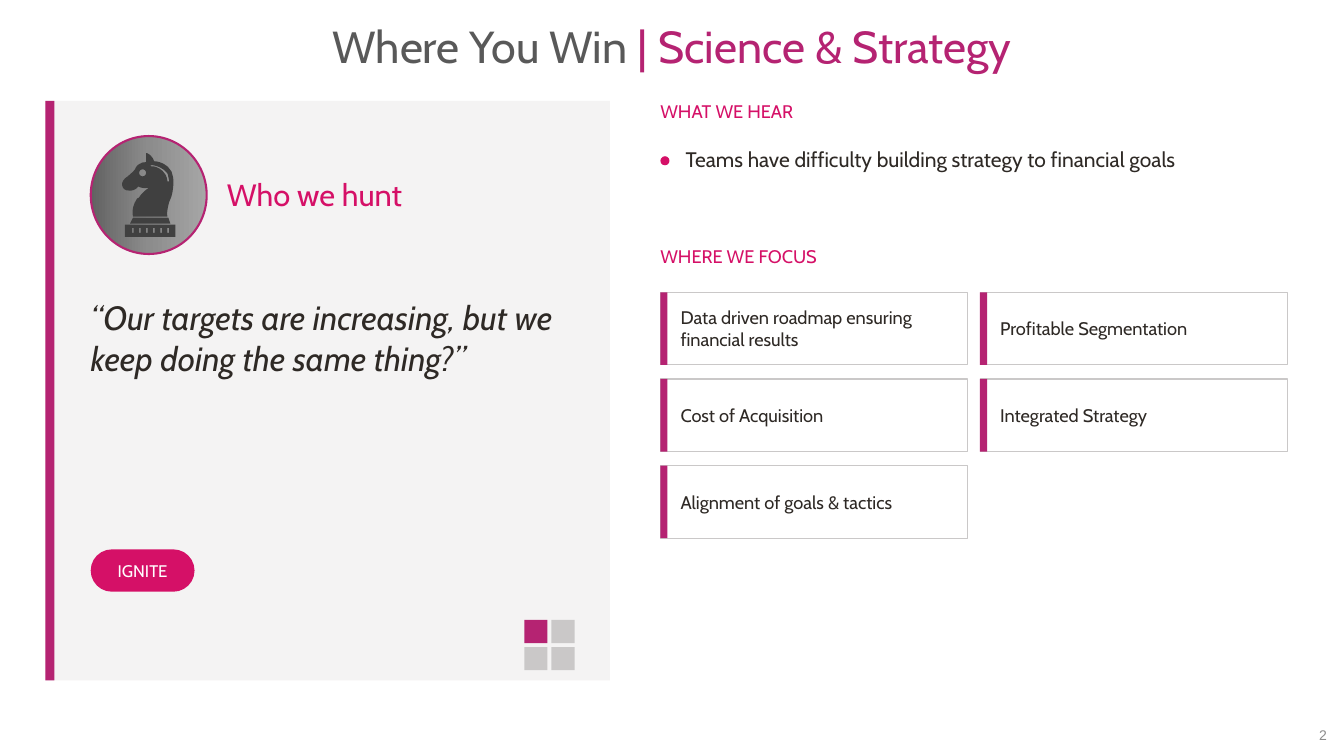
import copy
import math
from pptx import Presentation
from pptx.dml.color import RGBColor
from pptx.enum import shapes, text
from pptx.oxml.ns import qn
from pptx.util import Inches, Pt

PINK, PLUM, INK = "D51067", "B52372", "2E2925"
PANEL, SILVER, WHITE = "F4F3F3", "CAC8C8", "FFFFFF"
SHAPE, ALIGN, ANCHOR = shapes.MSO_SHAPE, text.PP_ALIGN, text.MSO_ANCHOR

prs = Presentation()
prs.slide_width, prs.slide_height = Inches(13.33), Inches(7.5)
s = prs.slides.add_slide(prs.slide_layouts[5])


def add_box(x, y, w, h, fill=None, line=None, line_width=0.75, kind=SHAPE.RECTANGLE):
    """Add a flat preset shape, or a text box when no fill is given."""
    area = [Inches(v) for v in (x, y, w, h)]
    if fill is None:
        return s.shapes.add_textbox(*area)
    sp = s.shapes.add_shape(kind, *area)
    sp.shadow.inherit = False
    sp.fill.solid()
    sp.fill.fore_color.rgb = RGBColor.from_string(fill)
    if line:
        sp.line.color.rgb = RGBColor.from_string(line)
        sp.line.width = Pt(line_width)
    else:
        sp.line.fill.background()
    return sp


def write(sp, content, size, color, font="Cabin", italic=False, align=ALIGN.LEFT,
          anchor=ANCHOR.TOP, insets=(0, 0)):
    """Append a run to the shape's first paragraph; insets are (sides, top and bottom)."""
    tf = sp.text_frame
    tf.word_wrap = True
    tf.vertical_anchor = anchor
    tf.margin_left = tf.margin_right = Inches(insets[0])
    tf.margin_top = tf.margin_bottom = Inches(insets[1])
    p = tf.paragraphs[0]
    p.alignment = align
    r = p.add_run()
    r.text = content
    r.font.name, r.font.size, r.font.italic = font, Pt(size), italic
    r.font.color.rgb = RGBColor.from_string(color)


# Title and slide number
title = s.shapes.title
title.left, title.top = Inches(0), Inches(0.25)
title.width, title.height = Inches(13.33), Inches(0.47)
for content, color in (("Where You Win ", "595959"), ("| Science & Strategy", PLUM)):
    write(title, content, 32, color, align=ALIGN.CENTER, anchor=ANCHOR.MIDDLE, insets=(0.1, 0.05))
title.text_frame.paragraphs[0].line_spacing = 0.9
write(add_box(9.76, 7.11, 3.53, 0.36), "2", 10, "8C8C8C", font="Arial",
      align=ALIGN.RIGHT, anchor=ANCHOR.MIDDLE, insets=(0.13, 0.07))

# Left panel with its badge
add_box(0.45, 1, 5.6, 5.75, PANEL)
add_box(0.45, 1, 0.09, 5.75, PLUM)
badge = add_box(0.9, 1.35, 1.15, 1.17, WHITE, PLUM, 1.5, SHAPE.OVAL)
badge.fill.gradient()
badge.fill.gradient_angle = 0
first_stop = badge.element.spPr.find(".//" + qn("a:gs"))
first_stop.addnext(copy.deepcopy(first_stop))
for stop, (position, color) in zip(badge.fill.gradient_stops,
                                   ((0, "626262"), (0.5, "8C8C8C"), (1, "A6A6A6"))):
    stop.position = position
    stop.color.rgb = RGBColor.from_string(color)

# Chess knight: two values are a line end, six values are a cubic curve
knight_body = [
    (1.46, 1.52), (1.46, 1.52, 1.51, 1.54, 1.53, 1.6), (1.55, 1.6, 1.65, 1.61, 1.7, 1.7),
    (1.71, 1.73, 1.72, 1.76, 1.72, 1.8), (1.72, 1.84, 1.72, 1.92, 1.68, 2),
    (1.68, 2, 1.65, 2.09, 1.66, 2.15), (1.32, 2.15), (1.31, 2.12, 1.31, 2.04, 1.36, 1.97),
    (1.38, 1.96), (1.39, 1.94, 1.42, 1.9, 1.48, 1.86), (1.45, 1.87, 1.41, 1.87, 1.37, 1.85),
    (1.36, 1.87, 1.32, 1.9, 1.27, 1.89), (1.25, 1.89, 1.23, 1.88, 1.22, 1.86),
    (1.21, 1.84, 1.2, 1.81, 1.24, 1.77), (1.24, 1.77, 1.31, 1.72, 1.34, 1.68),
    (1.35, 1.65, 1.37, 1.63, 1.4, 1.62), (1.41, 1.61, 1.43, 1.61, 1.45, 1.61), (1.45, 1.52)]
mane_gap = [
    (1.5, 1.64), (1.49, 1.645), (1.5, 1.65), (1.52, 1.65), (1.52, 1.65, 1.6, 1.66, 1.64, 1.73),
    (1.65, 1.75, 1.66, 1.77, 1.66, 1.8), (1.67, 1.8), (1.68, 1.8),
    (1.67, 1.77, 1.67, 1.74, 1.66, 1.72), (1.61, 1.65, 1.52, 1.64, 1.52, 1.64)]
eye = [(1.415 + 0.035 * math.cos(a * math.pi / 8), 1.715 + 0.035 * math.sin(a * math.pi / 8))
       for a in range(16)]
collar = [(1.32, 2.16), (1.67, 2.16), (1.69, 2.22), (1.29, 2.22)]
base = [(1.24, 2.23), (1.74, 2.23), (1.74, 2.35), (1.24, 2.35)]
slots = [[(x, 2.26), (x + 0.015, 2.26), (x + 0.015, 2.31), (x, 2.31)]
         for x in (1.31 + 0.07 * i for i in range(6))]

fb = s.shapes.build_freeform(scale=Inches(1) / 1000)
for i, contour in enumerate([knight_body, mane_gap, eye, collar, base, *slots]):
    points = []
    for segment in contour:
        if len(segment) == 2:
            points.append(segment)
            continue
        x0, y0 = points[-1]
        x1, y1, x2, y2, x3, y3 = segment
        for t in (0.2, 0.4, 0.6, 0.8, 1):
            a, b, c, d = (1 - t) ** 3, 3 * t * (1 - t) ** 2, 3 * t * t * (1 - t), t ** 3
            points.append((a * x0 + b * x1 + c * x2 + d * x3, a * y0 + b * y1 + c * y2 + d * y3))
    points = [(round(x * 1000), round(y * 1000)) for x, y in points]
    if i == 0:
        fb = s.shapes.build_freeform(*points[0], scale=Inches(1) / 1000)
    else:
        fb.move_to(*points[0])
    fb.add_line_segments(points[1:], close=True)
knight = fb.convert_to_shape()
knight.shadow.inherit = False
knight.fill.solid()
knight.fill.fore_color.rgb = RGBColor.from_string("404040")
knight.line.fill.background()

# Panel wording
write(add_box(2.25, 1.35, 3.6, 1.15), "Who we hunt", 22, PINK, anchor=ANCHOR.MIDDLE)
write(add_box(0.9, 2.95, 4.85, 2.3),
      "“Our targets are increasing, but we keep doing the same thing?”", 24, INK, italic=True)
pill = add_box(0.9, 5.45, 1.03, 0.42, PINK, kind=SHAPE.ROUNDED_RECTANGLE)
pill.adjustments[0] = 0.5
write(pill, "IGNITE", 12, WHITE, align=ALIGN.CENTER, anchor=ANCHOR.MIDDLE, insets=(0.08, 0))

# Quadrant marker
for i in range(4):
    row, col = divmod(i, 2)
    add_box(5.2 + 0.27 * col, 6.15 + 0.27 * row, 0.23, 0.23, SILVER if i else PLUM)

# Right column
for y, heading in ((1, "WHAT WE HEAR"), (2.43, "WHERE WE FOCUS")):
    write(add_box(6.55, y, 6.3, 0.4), heading, 13, PINK)
add_box(6.55, 1.55, 0.09, 0.09, PINK, kind=SHAPE.OVAL)
write(add_box(6.8, 1.45, 6.05, 0.62),
      "Teams have difficulty building strategy to financial goals", 15, INK)

focus_areas = ["Data driven roadmap ensuring financial results", "Profitable Segmentation",
               "Cost of Acquisition", "Integrated Strategy", "Alignment of goals & tactics"]
for i, area in enumerate(focus_areas):
    row, col = divmod(i, 2)
    x, y = 6.55 + 3.17 * col, 2.9 + 0.86 * row
    add_box(x, y, 3.05, 0.72, WHITE, SILVER)
    add_box(x, y, 0.07, 0.72, PLUM)
    write(add_box(x + 0.2, y, 2.75, 0.72), area, 13, INK, anchor=ANCHOR.MIDDLE)

prs.save("out.pptx")
